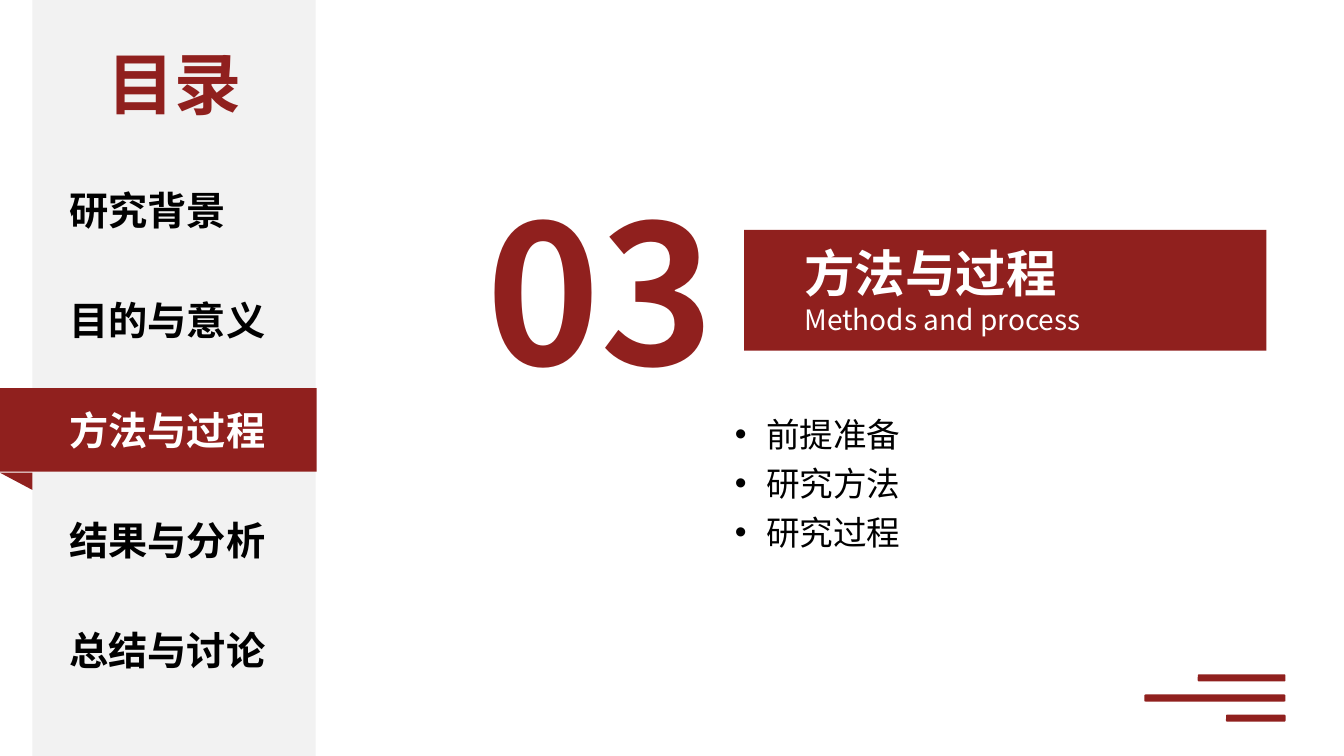
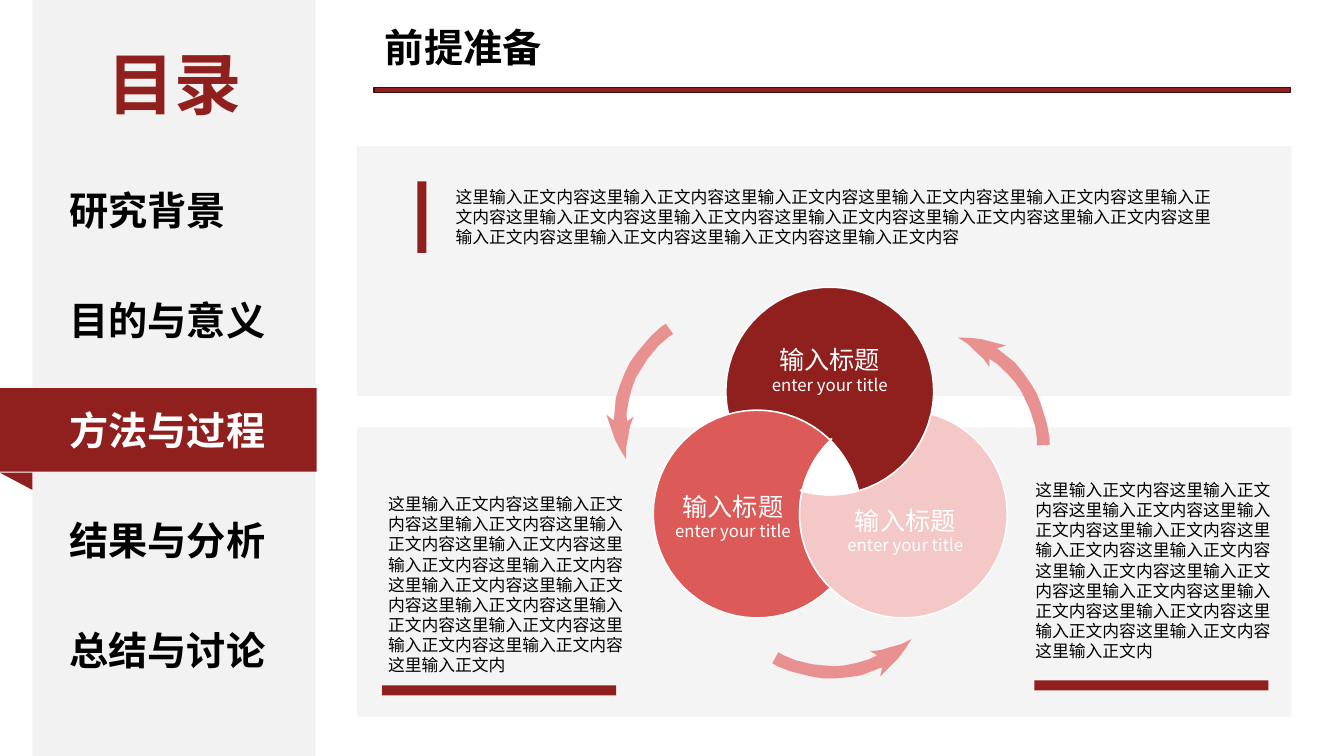
from math import cos, radians, sin

from lxml.etree import SubElement
from pptx import Presentation
from pptx.dml.color import RGBColor
from pptx.enum.shapes import MSO_SHAPE
from pptx.enum.text import MSO_AUTO_SIZE, PP_ALIGN
from pptx.oxml.ns import qn
from pptx.util import Inches, Pt

FONT = "Noto Sans CJK SC"
RED = RGBColor(0x90, 0x20, 0x1E)
DARK_RED = RGBColor(0x3F, 0x0E, 0x0D)
CORAL = RGBColor(0xDC, 0x5A, 0x58)
ROSE = RGBColor(0xE8, 0x91, 0x90)
PINK = RGBColor(0xF3, 0xC8, 0xC7)
GRAY = RGBColor(0xF2, 0xF2, 0xF2)
WHITE = RGBColor(0xFF, 0xFF, 0xFF)
BLACK = RGBColor(0, 0, 0)

SECTIONS = ["研究背景", "目的与意义", "方法与过程", "结果与分析", "总结与讨论"]
ACTIVE = 2
FILLER = "这里输入正文内容"


def add_text(slide, text, left, top, width, height, sizes=(12,), color=BLACK,
             bold=(False,), align=PP_ALIGN.LEFT, bullets=False):
    frame = slide.shapes.add_textbox(
        Inches(left), Inches(top), Inches(width), Inches(height)).text_frame
    frame.word_wrap = True
    frame.auto_size = MSO_AUTO_SIZE.SHAPE_TO_FIT_TEXT
    frame.text = text
    for index, paragraph in enumerate(frame.paragraphs):
        if bullets:
            properties = paragraph._p.get_or_add_pPr()
            properties.set("marL", str(Inches(0.31)))
            properties.set("indent", str(-Inches(0.31)))
            SubElement(properties, qn("a:buFont"), typeface="Arial")
            SubElement(properties, qn("a:buChar"), char="•")
            paragraph.line_spacing = Pt(35)
        paragraph.alignment = align
        run = paragraph.runs[0]
        run.font.size = Pt(sizes[index % len(sizes)])
        run.font.bold = bold[index % len(bold)]
        run.font.color.rgb = color
        run.font.name = FONT
        SubElement(run._r.get_or_add_rPr(), qn("a:ea"), typeface=FONT)


def add_block(slide, left, top, width, height, fill=RED, kind=MSO_SHAPE.RECTANGLE):
    shape = slide.shapes.add_shape(
        kind, Inches(left), Inches(top), Inches(width), Inches(height))
    shape.shadow.inherit = False
    shape.fill.solid()
    shape.fill.fore_color.rgb = fill
    shape.line.fill.background()
    return shape


presentation = Presentation()
presentation.slide_width = Inches(13.33)
presentation.slide_height = Inches(7.5)
section_slide, content_slide = [
    presentation.slides.add_slide(presentation.slide_layouts[6]) for _ in range(2)]

for slide in (section_slide, content_slide):
    add_block(slide, 0.32, 0, 2.81, 7.5, GRAY)
    add_block(slide, 0, 3.85, 3.14, 0.83)
    add_block(slide, 0, 4.69, 0.32, 0.17, kind=MSO_SHAPE.RIGHT_TRIANGLE).rotation = 180
    add_text(slide, "目录", 0.76, 0.37, 1.94, 0.91, sizes=(48,), color=RED,
             bold=(True,), align=PP_ALIGN.CENTER)
    for index, section in enumerate(SECTIONS):
        add_text(slide, section, 0.59, 1.8 + 1.09 * index, 2.21, 0.57, sizes=(28,),
                 color=WHITE if index == ACTIVE else BLACK, bold=(True,))

add_block(section_slide, 7.38, 2.28, 5.18, 1.2)
add_text(section_slide, "03", 4.35, 1.66, 3.22, 2.42, sizes=(138,), color=RED,
         bold=(True,), align=PP_ALIGN.CENTER)
add_text(section_slide, f"{SECTIONS[ACTIVE]}\nMethods and process", 7.88, 2.35, 4.5, 1.04,
         sizes=(36, 20), color=WHITE, bold=(True, False))
add_text(section_slide, "前提准备\n研究方法\n研究过程", 7.19, 3.97, 4.44, 2.02,
         sizes=(24,), bullets=True)
for index, width in enumerate((0.87, 1.4, 0.59)):
    add_block(section_slide, 12.75 - width, 6.69 + 0.2 * index, width, 0.07,
              kind=MSO_SHAPE.ROUNDED_RECTANGLE)

for top, height in ((4.24, 2.87), (1.45, 2.48)):
    panel = add_block(content_slide, 3.54, top, 9.27, height, GRAY)
    panel_color = panel.fill._xPr.find(qn("a:solidFill"))[0]
    SubElement(panel_color, qn("a:alpha"), val="80000")
title_rule = add_block(content_slide, 3.71, 0.87, 9.09, 0.05)
title_rule.line.color.rgb = DARK_RED
title_rule.line.width = Pt(1)
add_text(content_slide, "前提准备", 3.72, 0.18, 4.93, 0.57, sizes=(28,), bold=(True,))

RADIUS = 1.03
CENTERS = [(8.23, 3.88), (7.51, 5.1), (8.96, 5.1)]
petals = []
for index, fill in enumerate((RED, CORAL, PINK)):
    turn = -120 * index
    petals.append((fill, [(CENTERS[index], 166.5 + turn, 434.1 + turn),
                          (CENTERS[(index + 1) % 3], turn - 13.5, turn - 105.9)]))
petals.append((WHITE, [(CENTERS[1], -45.5, -13.5), (CENTERS[0], 74.5, 105.5),
                       (CENTERS[2], 194.5, 225.5)]))
outlines = []
for fill, arcs in petals:
    points = []
    for (x, y), start, end in arcs:
        angles = [radians(start + (end - start) * step / 48) for step in range(49)]
        points += [(x + RADIUS * cos(angle), y + RADIUS * sin(angle)) for angle in angles]
    outlines.append((fill, points, True))

ARROW = [(0.7, -0.2), (0.63, -0.09), (0.57, -0.01), (0.48, 0.08), (0.39, 0.17),
         (0.41, 0.08), (0.33, 0.11), (0.2, 0.16), (0.06, 0.18), (-0.06, 0.19),
         (-0.18, 0.19), (-0.3, 0.17), (-0.5, 0.12), (-0.63, 0.07), (-0.68, 0.04),
         (-0.62, -0.07), (-0.57, -0.04), (-0.45, 0.01), (-0.28, 0.05), (-0.07, 0.07),
         (0.04, 0.06), (0.14, 0.04), (0.28, 0), (0.36, -0.04), (0.29, -0.08),
         (0.39, -0.09), (0.49, -0.12), (0.6, -0.15)]
for x, y, degrees in ((6.34, 3.84, 116.2), (10.03, 3.85, 239.4), (8.34, 6.54, 0)):
    cosine, sine = cos(radians(degrees)), sin(radians(degrees))
    points = [(x + dx * cosine - dy * sine, y + dx * sine + dy * cosine) for dx, dy in ARROW]
    outlines.append((ROSE, points, False))

for fill, points, outlined in outlines:
    corners = [(Inches(x), Inches(y)) for x, y in points]
    builder = content_slide.shapes.build_freeform(*corners[0])
    builder.add_line_segments(corners[1:], close=True)
    shape = builder.convert_to_shape()
    shape.shadow.inherit = False
    shape.fill.solid()
    shape.fill.fore_color.rgb = fill
    if outlined:
        shape.line.color.rgb = WHITE
        shape.line.width = Pt(1)
    else:
        shape.line.fill.background()

for left, top in ((7.15, 3.37), (6.19, 4.82), (7.9, 4.96)):
    add_text(content_slide, "输入标题\nenter your title", left, top, 2.16, 0.61,
             sizes=(18, 12), color=WHITE, align=PP_ALIGN.CENTER)

add_text(content_slide, FILLER * 15, 4.42, 1.8, 7.85, 0.71)
add_block(content_slide, 4.14, 1.8, 0.09, 0.71)
for text_left, text_top, bar_left, bar_top in ((3.75, 4.85, 3.79, 6.8),
                                             (10.17, 4.71, 10.26, 6.75)):
    add_text(content_slide, FILLER * 14 + FILLER[:-1], text_left, text_top, 2.65, 1.92)
    add_block(content_slide, bar_left, bar_top, 2.32, 0.1)

presentation.save("out.pptx")
